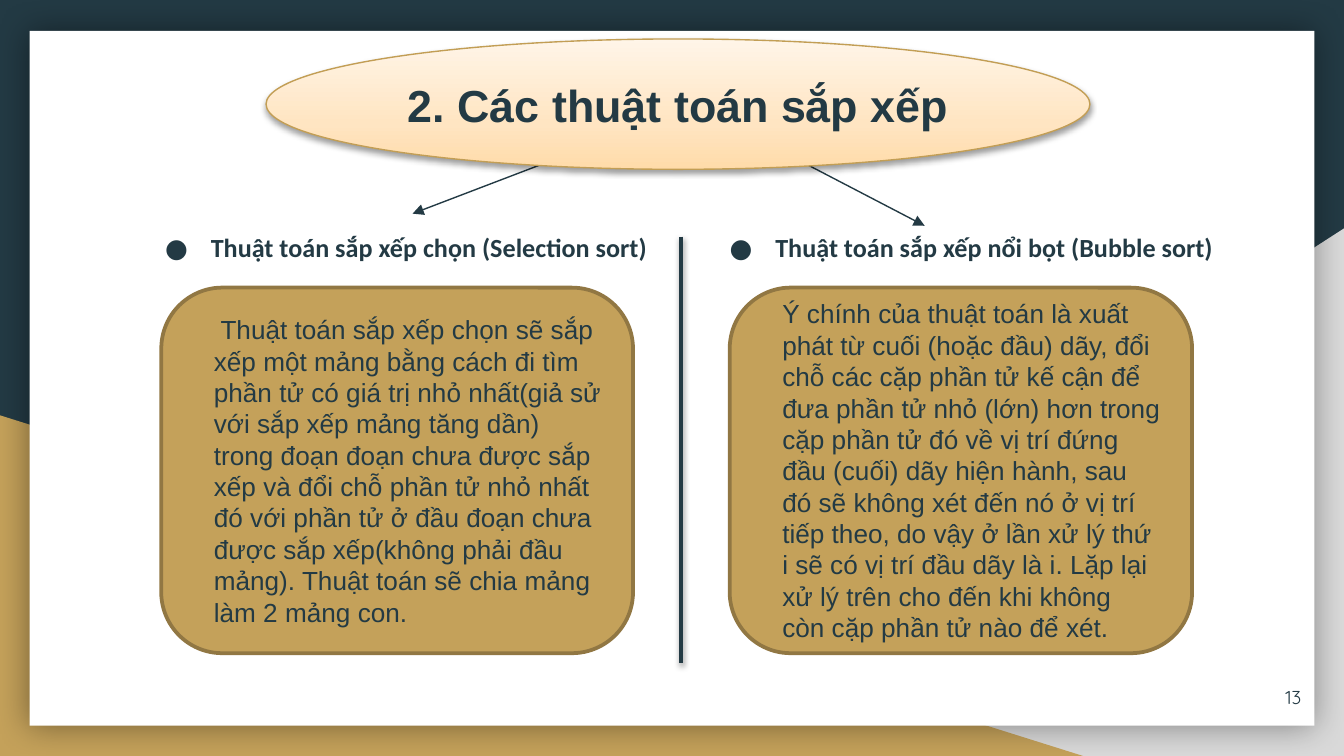
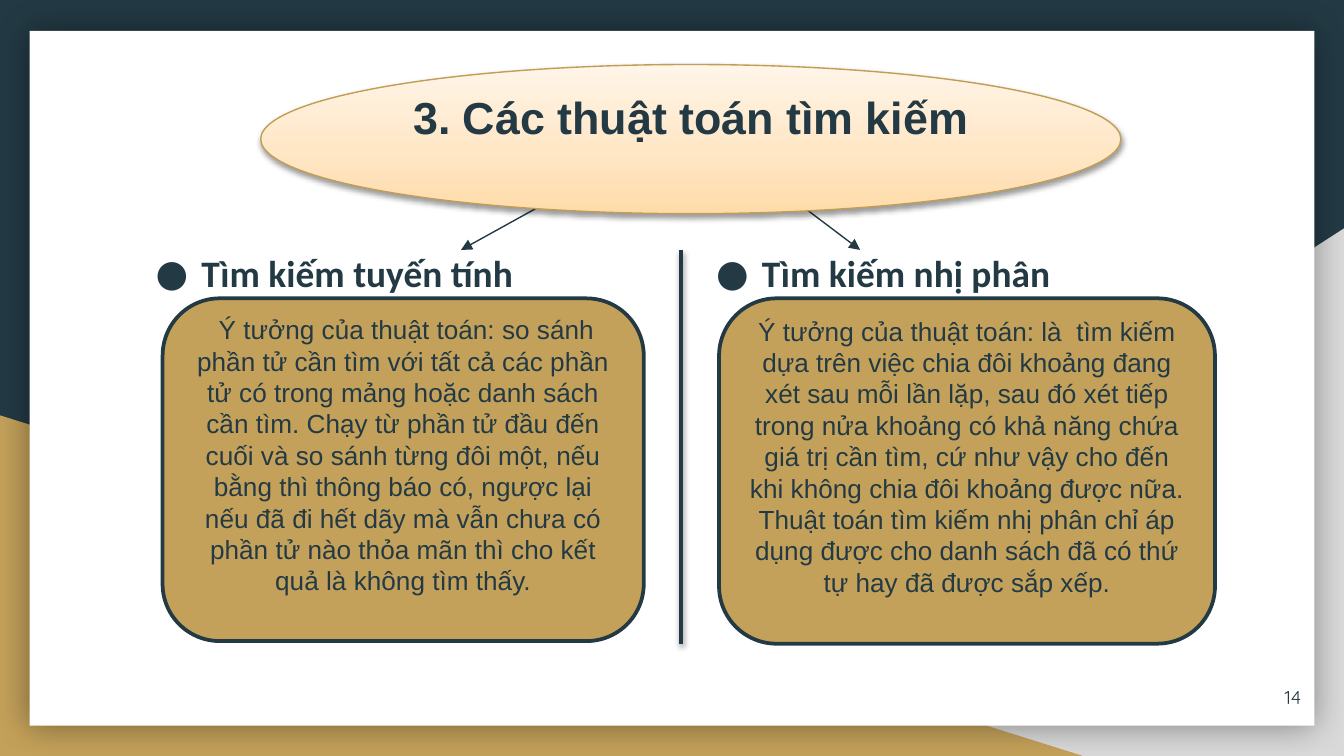
from lxml.etree import SubElement
from pptx import Presentation
from pptx.dml.color import RGBColor
from pptx.enum.shapes import MSO_CONNECTOR as CONN, MSO_SHAPE as SHAPE
from pptx.enum.text import MSO_ANCHOR as ANCHOR, PP_ALIGN as ALIGN
from pptx.oxml.ns import qn
from pptx.util import Inches, Pt

WIDTH = 10
HEIGHT = WIDTH * 9 / 16
NAVY = RGBColor(0x23, 0x3A, 0x44)
GOLD = RGBColor(0xC4, 0xA1, 0x5A)
GOLD_EDGE = RGBColor(0xC2, 0x9E, 0x55)
BROWN = RGBColor(0x91, 0x77, 0x43)
GREY = RGBColor(0xD9, 0xD9, 0xD9)
WHITE = RGBColor(0xFF, 0xFF, 0xFF)
BLACK = RGBColor(0, 0, 0)
CREAM = [(0, RGBColor(0xFF, 0xDB, 0xA9)), (35, RGBColor(0xFF, 0xE5, 0xC2)),
         (100, RGBColor(0xFF, 0xF5, 0xE8))]

CARD_SHADOW = dict(alpha=40, blur=18, dist=0, angle=0)
SOFT_SHADOW = dict(alpha=38, blur=3.1, dist=1.6, angle=90)
DIVIDER_X = 5.07
HEAD_BOTTOM = 4.86
BODY_GAP, TITLE_GAP = 0.22, 0.34

SLIDES = [
    dict(
        number="13", title="2. Các thuật toán sắp xếp",
        oval=(1.98, 0.29, 6.13, 0.97), title_gap=0,
        head_top=1.59, head_size=14, divider=(1.76, 4.93),
        edge=BROWN, align=ALIGN.LEFT, margin=0.16, body_gap=0,
        columns=[
            dict(head="Thuật toán sắp xếp chọn (Selection sort)", head_span=(0.97, 3.96),
                 box=(1.2, 2.14, 3.51, 2.72), arrow=((4.09, 1.2), (3.07, 1.59)), indent=0.05,
                 body="Thuật toán sắp xếp chọn sẽ sắp xếp một mảng bằng cách đi tìm phần tử có "
                      "giá trị nhỏ nhất(giả sử với sắp xếp mảng tăng dần) trong đoạn đoạn chưa "
                      "được sắp xếp và đổi chỗ phần tử nhỏ nhất đó với phần tử ở đầu đoạn chưa "
                      "được sắp xếp(không phải đầu mảng). Thuật toán sẽ chia mảng làm 2 mảng con."),
            dict(head="Thuật toán sắp xếp nổi bọt (Bubble sort)", head_span=(5.17, 4.01),
                 box=(5.43, 2.14, 3.44, 2.72), arrow=((5.92, 1.18), (6.88, 1.68)), indent=0,
                 body="Ý chính của thuật toán là xuất phát từ cuối (hoặc đầu) dãy, đổi chỗ các "
                      "cặp phần tử kế cận để đưa phần tử nhỏ (lớn) hơn trong cặp phần tử đó về "
                      "vị trí đứng đầu (cuối) dãy hiện hành, sau đó sẽ không xét đến nó ở vị trí "
                      "tiếp theo, do vậy ở lần xử lý thứ i sẽ có vị trí đầu dãy là i. Lặp lại xử "
                      "lý trên cho đến khi không còn cặp phần tử nào để xét."),
        ]),
    dict(
        number="14", title="3. Các thuật toán tìm kiếm",
        oval=(1.94, 0.48, 6.4, 1.11), title_gap=TITLE_GAP,
        head_top=1.71, head_size=20, divider=(1.86, 4.79),
        edge=NAVY, align=ALIGN.CENTER, margin=0, body_gap=BODY_GAP,
        columns=[
            dict(head="Tìm kiếm tuyến tính", head_span=(0.9, 4.03),
                 box=(1.21, 2.22, 3.58, 2.55), arrow=((3.99, 1.55), (3.43, 1.86)), indent=0.05,
                 body="Ý tưởng của thuật toán: so sánh phần tử cần tìm với tất cả các phần tử có "
                      "trong mảng hoặc danh sách cần tìm. Chạy từ phần tử đầu đến cuối và so sánh "
                      "từng đôi một, nếu bằng thì thông báo có, ngược lại nếu đã đi hết dãy mà "
                      "vẫn chưa có phần tử nào thỏa mãn thì cho kết quả là không tìm thấy."),
            dict(head="Tìm kiếm nhị phân", head_span=(5.07, 4.03),
                 box=(5.35, 2.22, 3.69, 2.57), arrow=((5.99, 1.55), (6.4, 1.86)), indent=0,
                 body="Ý tưởng của thuật toán: là  tìm kiếm dựa trên việc chia đôi khoảng đang "
                      "xét sau mỗi lần lặp, sau đó xét tiếp trong nửa khoảng có khả năng chứa giá "
                      "trị cần tìm, cứ như vậy cho đến khi không chia đôi khoảng được nữa. Thuật "
                      "toán tìm kiếm nhị phân chỉ áp dụng được cho danh sách đã có thứ tự hay đã "
                      "được sắp xếp."),
        ]),
]


def add_color(parent, color):
    return SubElement(parent, qn("a:srgbClr"), val=str(color))


def set_effect(sp, shadow=None):
    effects = SubElement(sp._element.spPr, qn("a:effectLst"))
    if shadow:
        outer = SubElement(effects, qn("a:outerShdw"), blurRad=str(Pt(shadow["blur"])),
                           dist=str(Pt(shadow["dist"])), dir=str(shadow["angle"] * 60000),
                           algn="ctr", rotWithShape="0")
        SubElement(add_color(outer, BLACK), qn("a:alpha"), val=str(shadow["alpha"] * 1000))


def set_gradient(sp, stops):
    sp.fill.gradient()
    grad = sp._element.spPr.find(qn("a:gradFill"))
    for child in list(grad):
        grad.remove(child)
    stop_list = SubElement(grad, qn("a:gsLst"))
    for pos, color in stops:
        add_color(SubElement(stop_list, qn("a:gs"), pos=str(pos * 1000)), color)
    SubElement(grad, qn("a:lin"), ang=str(270 * 60000), scaled="0")


def add_box(slide, kind, at, fill, edge=None, width=0.75, shadow=None):
    sp = slide.shapes.add_shape(kind, *map(Inches, at))
    if isinstance(fill, list):
        set_gradient(sp, fill)
    else:
        sp.fill.solid()
        sp.fill.fore_color.rgb = fill
    if edge is None:
        sp.line.fill.background()
    else:
        sp.line.color.rgb = edge
        sp.line.width = Pt(width)
    set_effect(sp, shadow)
    return sp


def add_line(slide, start, end, width=0.75, arrow=False, shadow=None):
    line = slide.shapes.add_connector(CONN.STRAIGHT, *map(Inches, start + end))
    line.line.color.rgb = NAVY
    line.line.width = Pt(width)
    if arrow:
        SubElement(line.line._get_or_add_ln(), qn("a:tailEnd"), type="triangle")
    set_effect(line, shadow)


def write(sp, text, size=14, font="Arial", bold=False, align=ALIGN.LEFT, anchor=ANCHOR.MIDDLE,
          inset=(0.1, 0.05), gap=0, margin=0, indent=0, spacing=None, bullet=None):
    tf = sp.text_frame
    tf.word_wrap = True
    tf.vertical_anchor = anchor
    tf.margin_left = tf.margin_right = Inches(inset[0])
    tf.margin_top = Inches(inset[1])
    tf.margin_bottom = Inches(inset[1] + gap)
    p = tf.paragraphs[0]
    p.alignment = align
    if spacing:
        p.line_spacing = spacing
    pPr = p._p.get_or_add_pPr()
    pPr.set("marL", str(Inches(margin)))
    pPr.set("indent", str(Inches(indent)))
    if bullet:
        add_color(SubElement(pPr, qn("a:buClr")), NAVY)
        SubElement(pPr, qn("a:buFont"), typeface="Quicksand")
        SubElement(pPr, qn("a:buChar"), char=bullet)
    r = p.add_run()
    r.text = text
    r.font.size = Pt(size)
    r.font.name = font
    r.font.bold = bold
    r.font.color.rgb = NAVY


def add_text(slide, at, text, **style):
    write(slide.shapes.add_textbox(*map(Inches, at)), text, inset=(0.1, 0.1), **style)


def add_frame(slide, number):
    slide.background.fill.solid()
    slide.background.fill.fore_color.rgb = NAVY
    grey = add_box(slide, SHAPE.RIGHT_TRIANGLE, (3.92, 1.7, 6.08, HEIGHT - 1.7), GREY)
    grey._element.spPr.find(qn("a:xfrm")).set("flipH", "1")
    add_box(slide, SHAPE.RIGHT_TRIANGLE, (0, 3.09, 8.06, HEIGHT - 3.09), GOLD)
    add_box(slide, SHAPE.RECTANGLE, (0.22, 0.23, WIDTH - 0.44, 5.17), WHITE, shadow=CARD_SHADOW)
    add_text(slide, (9.18, 4.97, 0.6, 0.43), number, size=10, font="Quicksand", align=ALIGN.RIGHT)


def build_slide(prs, data):
    slide = prs.slides.add_slide(prs.slide_layouts[6])
    add_frame(slide, data["number"])
    head_top = data["head_top"]
    for col in data["columns"]:
        left, width = col["head_span"]
        add_text(slide, (left, head_top, width, HEAD_BOTTOM - head_top), col["head"],
                 size=data["head_size"], font="Calibri", bold=True, anchor=ANCHOR.TOP,
                 margin=0.5, indent=-0.34, spacing=1.15, bullet="●")
    for col in data["columns"]:
        box = add_box(slide, SHAPE.ROUNDED_RECTANGLE, col["box"], GOLD, data["edge"], 2)
        write(box, col["body"], align=data["align"], gap=data["body_gap"],
              margin=data["margin"], indent=col["indent"])
        add_line(slide, *col["arrow"], arrow=True)
    oval = add_box(slide, SHAPE.OVAL, data["oval"], CREAM, GOLD_EDGE, shadow=SOFT_SHADOW)
    write(oval, data["title"], size=24, bold=True, align=ALIGN.CENTER, gap=data["title_gap"])
    top, bottom = data["divider"]
    add_line(slide, (DIVIDER_X, top), (DIVIDER_X, bottom), width=2, shadow=SOFT_SHADOW)


def main():
    prs = Presentation()
    prs.slide_width, prs.slide_height = Inches(WIDTH), Inches(HEIGHT)
    for data in SLIDES:
        build_slide(prs, data)
    prs.save("out.pptx")


if __name__ == "__main__":
    main()
